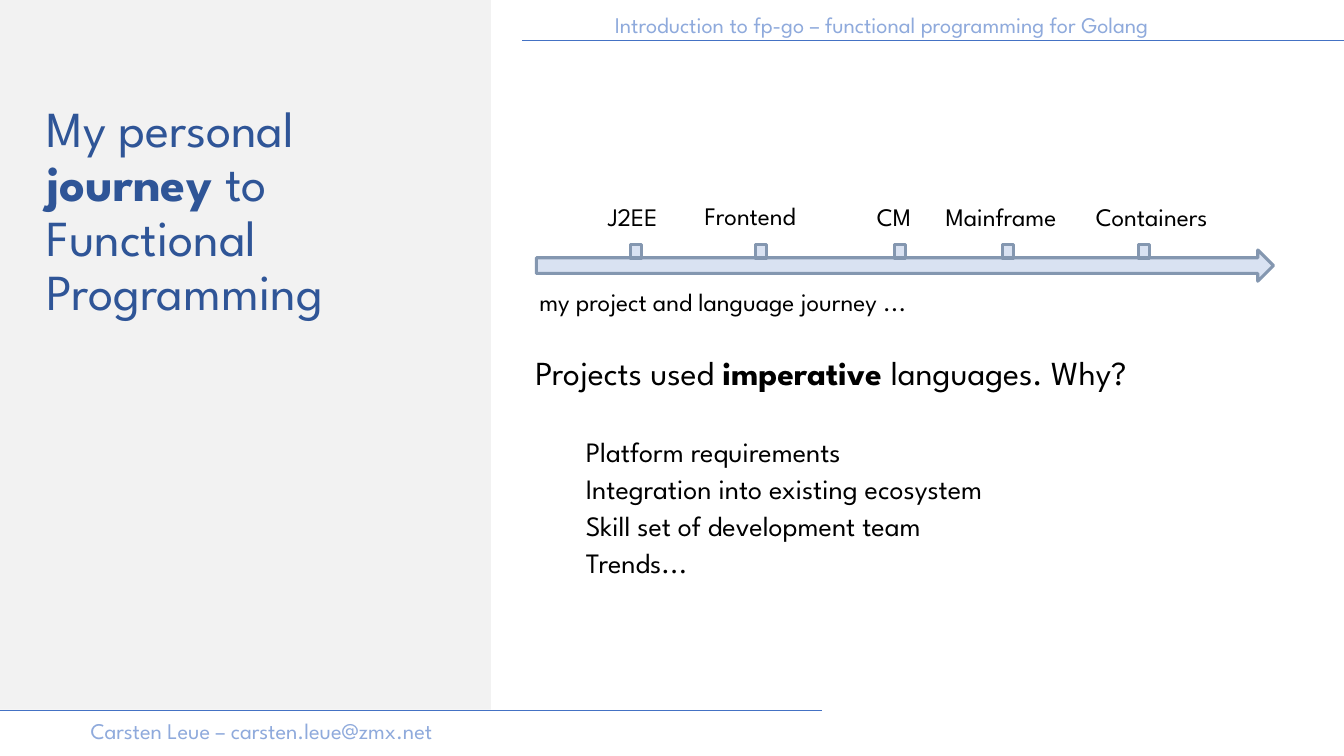
from lxml import etree
from pptx import Presentation
from pptx.dml.color import RGBColor
from pptx.enum.shapes import MSO_CONNECTOR, MSO_SHAPE
from pptx.enum.text import MSO_ANCHOR, MSO_AUTO_SIZE, PP_ALIGN
from pptx.oxml.ns import qn
from pptx.util import Inches, Pt

RECT, ARROW = MSO_SHAPE.RECTANGLE, MSO_SHAPE.RIGHT_ARROW
LINE = MSO_CONNECTOR.STRAIGHT
FIT, FIXED = MSO_AUTO_SIZE.SHAPE_TO_FIT_TEXT, MSO_AUTO_SIZE.NONE
TOP, LEFT = MSO_ANCHOR.TOP, PP_ALIGN.LEFT
FONT = "League Spartan"
BLACK, BLUE, PALE, NAVY = "000000", "4472C4", "8FAADC", "2F5597"


def paint(target, color):
    """Give a fill a solid colour from a hex string."""
    target.solid()
    target.fore_color.rgb = RGBColor.from_string(color)


def write(para, text, size, color, bold=False):
    run = para.add_run()
    run.text = text
    run.font.name, run.font.size, run.font.bold = FONT, Pt(size), bold
    paint(run.font.fill, color)


prs = Presentation()
prs.slide_width, prs.slide_height = Inches(13.33), Inches(7.5)
slide = prs.slides.add_slide(prs.slide_layouts[1])
shapes = slide.shapes
title, body = shapes.title, slide.placeholders[1]

# Side panel, behind the title
panel = shapes.add_shape(RECT, 0, 0, Inches(4.87), Inches(7.04))
panel.shadow.inherit = False
paint(panel.fill, "F2F2F2")
panel.line.fill.background()
title.element.addprevious(panel.element)

# Header and footer rules
for start, end, y in [(13.33, 5.18, 0.4), (8.15, 0, 7.05)]:
    rule = shapes.add_connector(LINE, Inches(start), Inches(y), Inches(end), Inches(y))
    paint(rule.line.fill, BLUE)
    rule.line.width = Pt(0.5)
    etree.SubElement(rule.element.spPr, qn("a:effectLst"))

# Timeline: arrow and ticks
marks = [(ARROW, 5.32, 2.48, 7.31, 0.31)]
marks += [(RECT, x, 2.43, 0.11, 0.13) for x in (6.25, 7.49, 8.87, 9.94, 11.29)]
for kind, *place in marks:
    mark = shapes.add_shape(kind, *map(Inches, place))
    mark.shadow.inherit = False
    paint(mark.fill, "B4C7E7")
    tint = mark.element.spPr.find(qn("a:solidFill"))[0]
    etree.SubElement(tint, qn("a:alpha"), val="50000")
    paint(mark.line.fill, "8497B0")
    mark.line.width = Pt(2.25)

# Header, footer and timeline labels
labels = [
    ("Introduction to fp-go – functional programming for Golang", 6, 0.06, 6.54, 0.37, 16, PALE),
    ("Carsten Leue – carsten.leue@zmx.net", 0.8, 7.07, 4.31, 0.37, 16, PALE),
    ("J2EE", 5.93, 1.95, 0.73, 0.4, 18, BLACK),
    ("Frontend", 6.89, 1.94, 1.3, 0.4, 18, BLACK),
    ("CM", 8.6, 1.95, 0.64, 0.4, 18, BLACK),
    ("Mainframe", 9.28, 1.95, 1.54, 0.4, 18, BLACK),
    ("Containers", 10.77, 1.95, 1.53, 0.4, 18, BLACK),
    ("my project and language journey ...", 5.25, 2.79, 4.62, 0.4, 18, BLACK),
]
for text, x, y, width, height, size, color in labels:
    box = shapes.add_textbox(Inches(x), Inches(y), Inches(width), Inches(height))
    box.text_frame.word_wrap = False
    box.text_frame.auto_size = FIT
    write(box.text_frame.paragraphs[0], text, size, color)

# Title and body placeholders
for holder, place in [(title, (0.36, 0.98, 4.27, 5.59)), (body, (5.21, 3.49, 7.88, 3.28))]:
    holder.left, holder.top, holder.width, holder.height = map(Inches, place)
    frame = holder.text_frame
    frame.word_wrap, frame.auto_size = True, FIXED
    frame.vertical_anchor = TOP

head = title.text_frame.paragraphs[0]
head.alignment, head.line_spacing = LEFT, 0.9
write(head, "My personal ", 36, NAVY)
write(head, "journey ", 36, NAVY, True)
write(head, "to Functional Programming", 36, NAVY)

lead = body.text_frame.paragraphs[0]
write(lead, "Projects used ", 24, BLACK)
write(lead, "imperative ", 24, BLACK, True)
write(lead, "languages. Why?", 24, BLACK)
reasons = [
    "Platform requirements",
    "Integration into existing ecosystem",
    "Skill set of development team",
    "Trends...",
]
for reason in reasons:
    item = body.text_frame.add_paragraph()
    item.level = 1
    write(item, reason, 20, BLACK)

for row, para in enumerate(body.text_frame.paragraphs):
    para.line_spacing = 0.9
    para.space_before = Pt((0, 32)[row] if row < 2 else 5)
    props = para._p.get_or_add_pPr()
    props.set("marL", str(Inches(0.5 if row else 0)))
    props.set("indent", "0")
    etree.SubElement(props, qn("a:buNone"))

prs.save("out.pptx")
